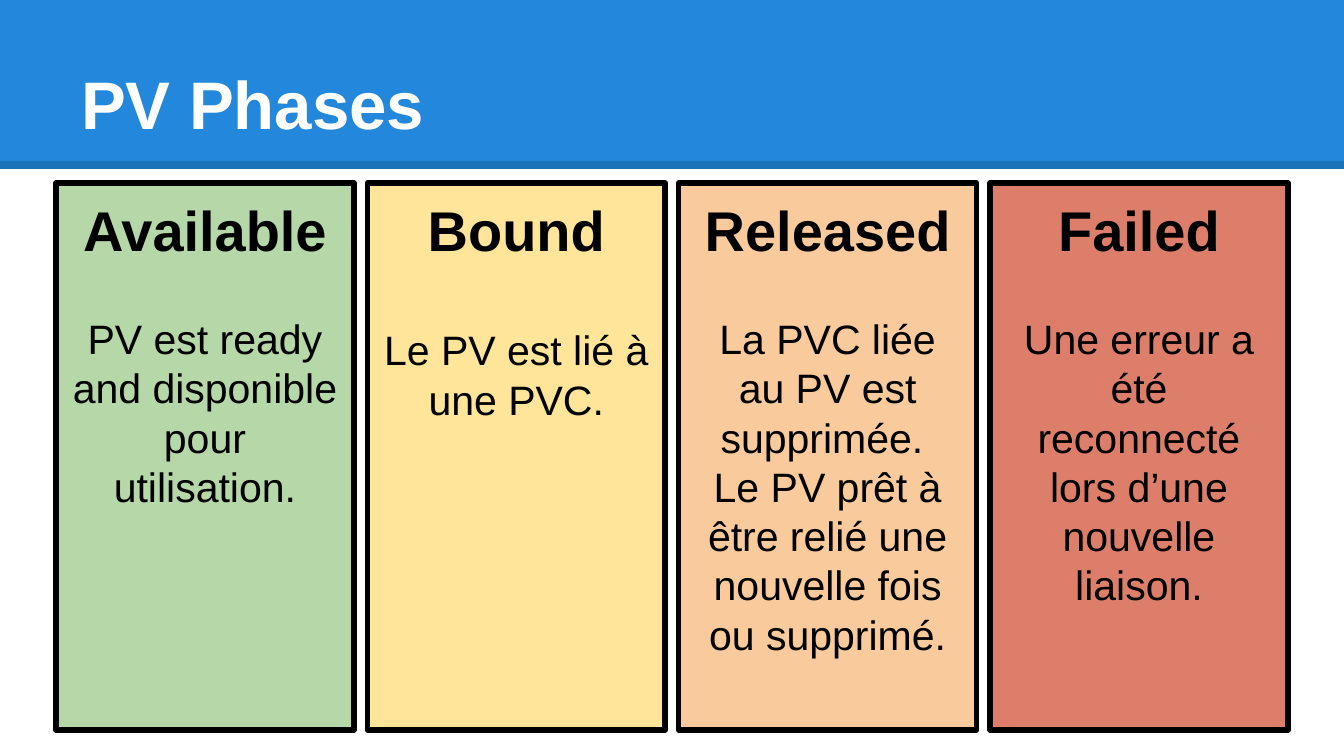
from lxml import etree
from pptx import Presentation, util as u
from pptx.dml.color import RGBColor
from pptx.enum import shapes, text
from pptx.oxml.ns import qn

TITLE = "PV Phases"
PHASES = [
    ("Available", "PV est ready and disponible pour utilisation.", "B6D7A8", 27),
    ("Bound", "Le PV est lié à une PVC.", "FFE599", 33),
    ("Released", "La PVC liée au PV est supprimée. \nLe PV prêt à être relié "
                 "une nouvelle fois ou supprimé.", "F9CB9C", 27),
    ("Failed", "Une erreur a été reconnecté lors d’une nouvelle liaison.", "DD7E6B", 27),
]
WIDTH, HEIGHT = 1344, 756
BAR_HEIGHT, RULE_Y = 169, 165
FIRST_LEFT, LAST_LEFT = 56, 990
CARD_TOP, CARD_WIDTH, CARD_HEIGHT = 183, 298, 547
CARD_STEP = (LAST_LEFT - FIRST_LEFT) / (len(PHASES) - 1)
SIDE_INSET, INSET = 14, 13
SCALE = u.Inches(10) / WIDTH


def px(length):
    return u.Emu(round(length * SCALE))


def color(value):
    return RGBColor.from_string(value)


def place(shape, left, top, width, height):
    shape.left, shape.top = px(left), px(top)
    shape.width, shape.height = px(width), px(height)


def setup_frame(frame, anchor):
    frame.word_wrap = True
    frame.auto_size = text.MSO_AUTO_SIZE.NONE
    frame.vertical_anchor = anchor
    frame.margin_left = frame.margin_right = px(SIDE_INSET)
    frame.margin_top = frame.margin_bottom = px(INSET)


def write(paragraph, content, size, bold=False, fill="000000",
          align=text.PP_ALIGN.CENTER, before=0):
    properties = paragraph._p.get_or_add_pPr()
    properties.set("marL", "0")
    properties.set("indent", "0")
    etree.SubElement(properties, qn("a:buNone"))
    paragraph.alignment = align
    paragraph.space_before = u.Pt(before)
    paragraph.line_spacing = 1.0
    for index, line in enumerate(content.split("\n")):
        if index:
            paragraph.add_line_break()
        run = paragraph.add_run()
        run.text = line
        run.font.name = "Arial"
        run.font.size = u.Pt(size)
        run.font.bold = bold
        run.font.color.rgb = color(fill)


def add_banner(slide):
    bar = slide.shapes.add_shape(shapes.MSO_SHAPE.RECTANGLE, 0, 0, px(WIDTH), px(BAR_HEIGHT))
    bar.shadow.inherit = False
    bar.fill.solid()
    bar.fill.fore_color.rgb = color("2388DB")
    bar.line.fill.background()
    rule = slide.shapes.add_connector(
        shapes.MSO_CONNECTOR.STRAIGHT, 0, px(RULE_Y), px(WIDTH), px(RULE_Y))
    rule.line.color.rgb = color("000000")
    rule.line.width = u.Pt(4.5)
    shade = rule._element.spPr.find(".//" + qn("a:srgbClr"))
    etree.SubElement(shade, qn("a:alpha")).set("val", "15000")
    etree.SubElement(rule._element.spPr, qn("a:effectLst"))
    for index, shape in enumerate((bar, rule)):
        slide.shapes._spTree.insert(2 + index, shape._element)


def fill_card(card, index, heading, description, fill, gap):
    place(card, FIRST_LEFT + index * CARD_STEP, CARD_TOP, CARD_WIDTH, CARD_HEIGHT)
    card.fill.solid()
    card.fill.fore_color.rgb = color(fill)
    card.line.color.rgb = color("000000")
    card.line.width = u.Pt(3)
    frame = card.text_frame
    setup_frame(frame, text.MSO_ANCHOR.TOP)
    write(frame.paragraphs[0], heading, 30, bold=True)
    write(frame.add_paragraph(), description, 22, before=gap)


def main():
    presentation = Presentation()
    presentation.slide_width, presentation.slide_height = px(WIDTH), px(HEIGHT)
    comparison_layout = presentation.slide_layouts[4]
    slide = presentation.slides.add_slide(comparison_layout)
    title, *cards = slide.placeholders
    add_banner(slide)
    place(title, 67, 30, 1210, 126)
    setup_frame(title.text_frame, text.MSO_ANCHOR.BOTTOM)
    write(title.text_frame.paragraphs[0], TITLE, 36, bold=True, fill="FFFFFF",
          align=text.PP_ALIGN.LEFT)
    for index, (card, phase) in enumerate(zip(cards, PHASES)):
        fill_card(card, index, *phase)
    presentation.save("out.pptx")


if __name__ == "__main__":
    main()
